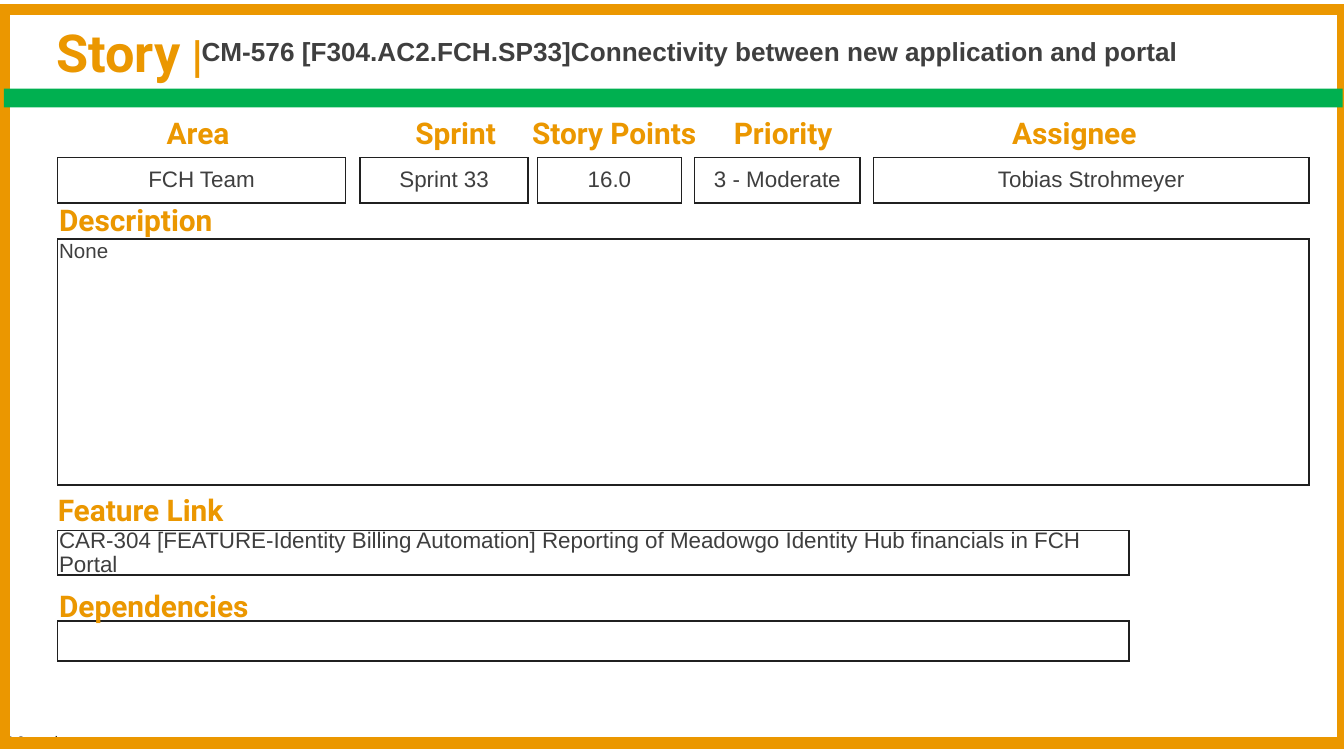
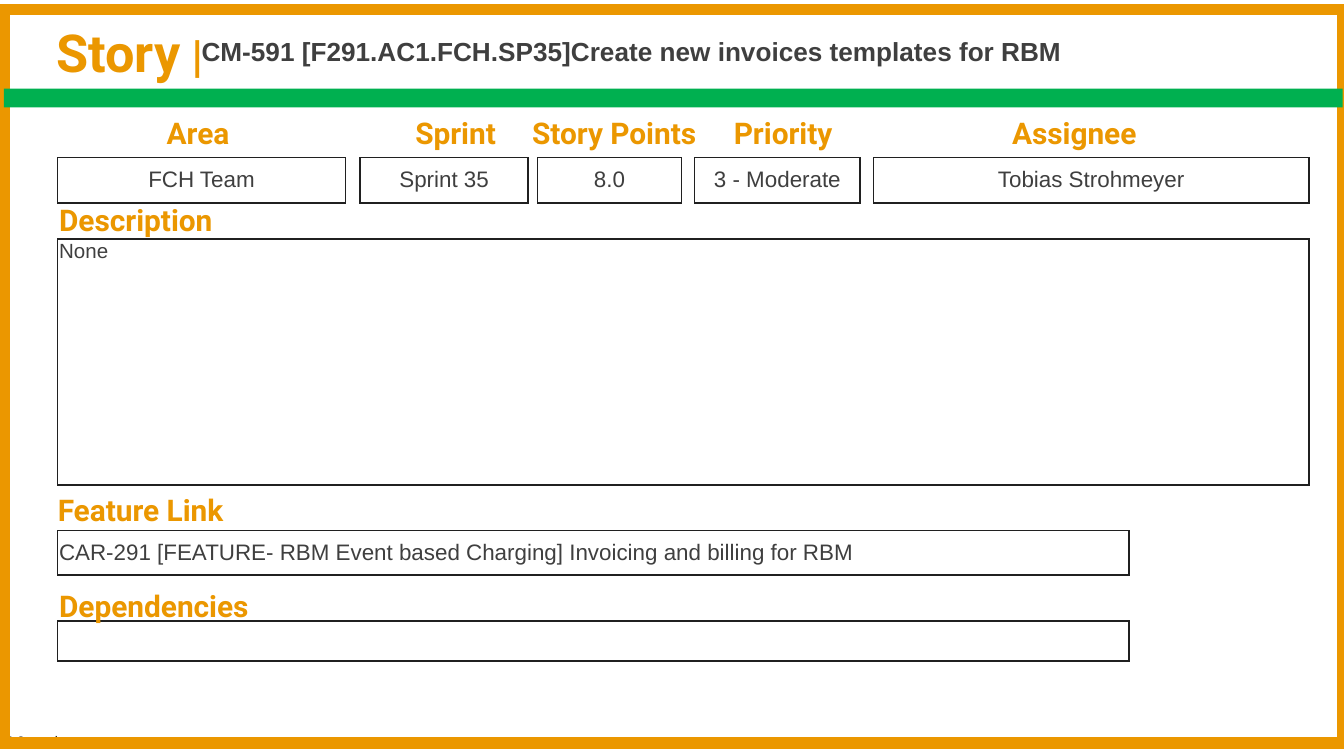
from dataclasses import dataclass

import lxml.etree
import pptx
import pptx.dml.color
import pptx.enum.shapes
import pptx.enum.text
import pptx.oxml.ns
import pptx.presentation
import pptx.shapes.autoshape
import pptx.slide
import pptx.util

Inches = pptx.util.Inches
Align = pptx.enum.text.PP_ALIGN
Anchor = pptx.enum.text.MSO_ANCHOR

ORANGE = "EB9700"
GREEN = "00B050"
GREY = "3F3F3F"
OUTLINE = "202020"
BLACK = "000000"

LEFT = 0.43
SUMMARY_HEADING_TOP = 0.85
SUMMARY_TOP, SUMMARY_HEIGHT = 1.17, 0.34
HEADING_WIDTH, HEADING_HEIGHT = 1.58, 0.16
FIELD_INSET = 0.01


@dataclass(frozen=True)
class Area:
    left: float
    top: float
    width: float
    height: float

    def lengths(self) -> tuple[pptx.util.Length, ...]:
        return tuple(Inches(side) for side in (self.left, self.top, self.width, self.height))


@dataclass(frozen=True)
class Style:
    size: float
    font: str
    color: str
    bold: bool = False


@dataclass(frozen=True)
class Field:
    key: str
    heading: str
    heading_left: float
    heading_top: float
    area: Area
    style: Style
    align: Align = Align.LEFT
    anchor: Anchor = Anchor.MIDDLE


@dataclass(frozen=True)
class Story:
    title: str
    values: dict[str, str]


HEADING = Style(16, "Roboto", ORANGE, True)
STORY_WORD = Style(28, "Roboto", ORANGE, True)
STORY_BAR = Style(24, "Roboto", ORANGE, True)
STORY_TITLE = Style(14, "Arial", GREY, True)
VALUE = Style(12, "Arial", GREY)
DESCRIPTION = Style(11, "Arial", GREY)
CLASSIFICATION = Style(7, "Calibri", BLACK)


def summary(key: str, heading: str, heading_left: float, left: float, width: float) -> Field:
    area = Area(left, SUMMARY_TOP, width, SUMMARY_HEIGHT)
    return Field(key, heading, heading_left, SUMMARY_HEADING_TOP, area, VALUE, Align.CENTER)


FIELDS = (
    summary("area", "Area", 1.24, LEFT, 2.14),
    summary("sprint", "Sprint", 3.09, 2.68, 1.25),
    summary("points", "Story Points", 3.96, 4, 1.07),
    summary("priority", "Priority", 5.46, 5.17, 1.23),
    summary("assignee", "Assignee", 7.53, 6.5, 3.24),
    Field("description", "Description", 0.44, 1.5, Area(LEFT, 1.78, 9.31, 1.83),
          DESCRIPTION, anchor=Anchor.TOP),
    Field("feature", "Feature Link", LEFT, 3.66, Area(LEFT, 3.95, 7.97, 0.33), VALUE),
    Field("dependencies", "Dependencies", 0.44, 4.37, Area(LEFT, 4.62, 7.97, 0.3), VALUE),
)

SHARED_VALUES = {
    "area": "FCH Team",
    "priority": "3 - Moderate",
    "assignee": "Tobias Strohmeyer",
    "description": "None",
}

STORIES = (
    Story(
        "CM-576 [F304.AC2.FCH.SP33]Connectivity between new application and portal",
        {
            "sprint": "Sprint 33",
            "points": "16.0",
            "feature": "CAR-304 [FEATURE-Identity Billing Automation] Reporting of "
                       "Meadowgo Identity Hub financials in FCH Portal",
        },
    ),
    Story(
        "CM-591 [F291.AC1.FCH.SP35]Create new invoices templates for RBM",
        {
            "sprint": "Sprint 35",
            "points": "8.0",
            "feature": "CAR-291 [FEATURE- RBM Event based Charging] Invoicing and billing for RBM",
        },
    ),
)


def rgb(color: str) -> pptx.dml.color.RGBColor:
    return pptx.dml.color.RGBColor.from_string(color)


def write(box: pptx.shapes.autoshape.Shape, *runs: tuple[str, Style],
          align: Align = Align.LEFT, anchor: Anchor = Anchor.TOP, wrap: bool = True,
          spacing: float = 1.0, inset_x: float = 0, inset_y: float = 0) -> None:
    frame = box.text_frame
    frame.word_wrap = wrap
    frame.vertical_anchor = anchor
    frame.margin_left = frame.margin_right = Inches(inset_x)
    frame.margin_top = frame.margin_bottom = Inches(inset_y)
    paragraph = frame.paragraphs[0]
    paragraph.alignment = align
    paragraph.line_spacing = spacing
    for words, style in runs:
        run = paragraph.add_run()
        run.text = words
        run.font.size = pptx.util.Pt(style.size)
        run.font.name = style.font
        run.font.bold = style.bold
        run.font.color.rgb = rgb(style.color)


def add_text(slide: pptx.slide.Slide, area: Area) -> pptx.shapes.autoshape.Shape:
    return slide.shapes.add_textbox(*area.lengths())


def add_rectangle(slide: pptx.slide.Slide, area: Area, fill: str | None = None,
                  line: str | None = None, weight: float = 0.75) -> pptx.shapes.autoshape.Shape:
    rectangle = slide.shapes.add_shape(
        pptx.enum.shapes.MSO_SHAPE.RECTANGLE, *area.lengths())
    rectangle.shadow.inherit = False
    if fill:
        rectangle.fill.solid()
        rectangle.fill.fore_color.rgb = rgb(fill)
    else:
        rectangle.fill.background()
    if line:
        rectangle.line.color.rgb = rgb(line)
        rectangle.line.width = pptx.util.Pt(weight)
        outline = rectangle.element.spPr.find(pptx.oxml.ns.qn("a:ln"))
        lxml.etree.SubElement(outline, pptx.oxml.ns.qn("a:miter"), lim="800000")
    else:
        rectangle.line.fill.background()
    return rectangle


def add_field(slide: pptx.slide.Slide, field: Field, value: str | None) -> None:
    value_box = add_rectangle(slide, field.area, line=OUTLINE)
    if value:
        write(value_box, (value, field.style), align=field.align, anchor=field.anchor,
              spacing=0.9, inset_x=FIELD_INSET, inset_y=FIELD_INSET)
    heading_area = Area(field.heading_left, field.heading_top, HEADING_WIDTH, HEADING_HEIGHT)
    write(add_text(slide, heading_area), (field.heading, HEADING))


def add_story(deck: pptx.presentation.Presentation, story: Story) -> None:
    slide = deck.slides.add_slide(deck.slide_layouts[6])
    write(add_text(slide, Area(0, 5.39, 0.68, 0.23)), ("C2 General", CLASSIFICATION),
          anchor=Anchor.MIDDLE, wrap=False)
    write(add_text(slide, Area(0.32, 0.19, 1.79, 0.29)),
          ("Story", STORY_WORD), (" |", STORY_BAR),
          spacing=0.8, inset_x=0.1, inset_y=0.05)
    write(add_text(slide, Area(1.5, 0.14, 8.4, 0.52)), (story.title, STORY_TITLE),
          anchor=Anchor.MIDDLE, spacing=0.8)
    values = SHARED_VALUES | story.values
    for field in FIELDS:
        add_field(slide, field, values.get(field.key))
    add_rectangle(slide, Area(0.03, 0.07, 9.96, 5.46), line=ORANGE, weight=6)
    add_rectangle(slide, Area(0.03, 0.66, 9.96, 0.14), fill=GREEN)


def main() -> None:
    deck = pptx.Presentation()
    deck.slide_width = Inches(10)
    deck.slide_height = deck.slide_width * 9 // 16
    for story in STORIES:
        add_story(deck, story)
    deck.save("out.pptx")


if __name__ == "__main__":
    main()
